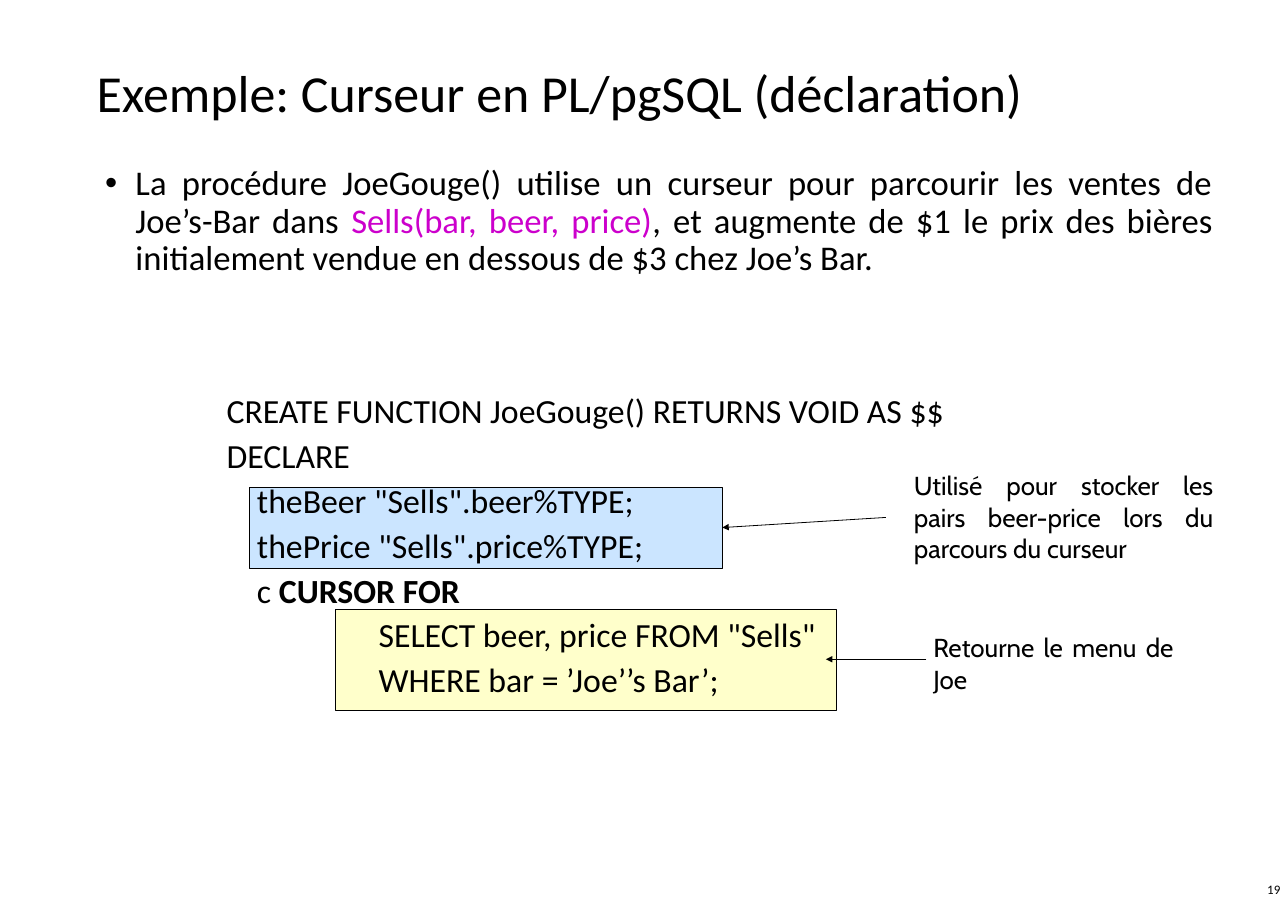
from dataclasses import dataclass

from lxml.etree import SubElement
from pptx import Presentation
from pptx.dml.color import RGBColor
from pptx.enum.shapes import MSO_CONNECTOR as CONN, MSO_SHAPE as SHAPE
from pptx.enum.text import MSO_ANCHOR as ANCHOR, MSO_AUTO_SIZE as AUTO, PP_ALIGN as ALIGN
from pptx.oxml.ns import qn
from pptx.util import Inches, Pt


@dataclass(frozen=True)
class Theme:
    black: str = "000000"
    magenta: str = "CC00CC"
    blue: str = "99CCFF"
    yellow: str = "FFFF99"
    font: str = "Calibri"
    note_font: str = "Cabin"
    title: float = 48
    body: float = 32
    code: float = 31.2
    note: float = 24
    number: float = 12
    line: float = 0.75
    leading: float = 0.9
    code_gap: float = 7.8


THEME = Theme()


@dataclass(frozen=True)
class Box:
    left: float
    top: float
    width: float
    height: float

    def inches(self):
        return [Inches(v) for v in (self.left, self.top, self.width, self.height)]


@dataclass(frozen=True)
class Run:
    text: str
    color: str = THEME.black
    bold: bool = False


@dataclass(frozen=True)
class CodeLine:
    indent: float
    runs: tuple[Run, ...]


@dataclass(frozen=True)
class Callout:
    area: Box
    fill: str
    note: str
    note_box: Box
    start: tuple[float, float]
    end: tuple[float, float]
    joined: bool


TITLE = "Exemple: Curseur en PL/pgSQL (déclaration)"
INTRO = (
    Run("La procédure JoeGouge() utilise un curseur pour parcourir les ventes de Joe’s-Bar dans "),
    Run("Sells(bar, beer, price)", THEME.magenta),
    Run(", et augmente de $1 le prix des bières initialement vendue en dessous de $3 chez Joe’s Bar."),
)
DECLARATION, QUERY = 0.39, 1.95
CODE = [
    CodeLine(0, (Run("CREATE FUNCTION JoeGouge() RETURNS VOID AS $$"),)),
    CodeLine(0, (Run("DECLARE"),)),
    CodeLine(DECLARATION, (Run('theBeer "Sells".beer%TYPE;'),)),
    CodeLine(DECLARATION, (Run('thePrice "Sells".price%TYPE;'),)),
    CodeLine(DECLARATION, (Run("c "), Run("CURSOR FOR", bold=True))),
    CodeLine(QUERY, (Run('SELECT beer, price FROM "Sells"'),)),
    CodeLine(QUERY, (Run("WHERE bar = ’Joe’’s Bar’;"),)),
]
CALLOUTS = [
    Callout(Box(3.2, 6.25, 6.07, 1.04), THEME.blue,
            "Utilisé pour stocker les pairs beer-price lors du parcours du curseur",
            Box(11.63, 5.98, 4.04, 1.31), (11.37, 6.64), (9.27, 6.77), True),
    Callout(Box(4.3, 7.82, 6.43, 1.3), THEME.yellow, "Retourne le menu de Joe",
            Box(11.88, 8.06, 3.28, 0.91), (11.89, 8.46), (10.6, 8.46), False),
]


def write(p, *runs: Run, size: float, font: str = THEME.font, align=ALIGN.JUSTIFY,
          leading: float = 1.0, before: float = 0, indent: float = 0, bullet: str = "") -> None:
    p.alignment, p.line_spacing, p.space_before = align, leading, Pt(before)
    pPr = p._p.get_or_add_pPr()
    pPr.set("marL", str(Inches(indent)))
    pPr.set("indent", str(-Inches(indent) if bullet else 0))
    if bullet:
        SubElement(pPr, qn("a:buFont")).set("typeface", "Arial")
        SubElement(pPr, qn("a:buChar")).set("char", bullet)
    for run in runs:
        r = p.add_run()
        r.text = run.text
        r.font.name, r.font.size, r.font.bold = font, Pt(size), run.bold
        r.font.color.rgb = RGBColor.from_string(run.color)


def add_text_box(s, box: Box, anchor=ANCHOR.TOP):
    tf = s.shapes.add_textbox(*box.inches()).text_frame
    tf.word_wrap, tf.vertical_anchor = True, anchor
    return tf


def add_area(s, box: Box, color: str):
    sp = s.shapes.add_shape(SHAPE.RECTANGLE, *box.inches())
    sp.shadow.inherit = False
    sp.fill.solid()
    sp.fill.fore_color.rgb = RGBColor.from_string(color)
    srgb = sp._element.spPr.find(f"{qn('a:solidFill')}/{qn('a:srgbClr')}")
    SubElement(srgb, qn("a:alpha")).set("val", "50000")
    sp.line.color.rgb = RGBColor.from_string(THEME.black)
    sp.line.width = Pt(THEME.line)
    return sp


def add_arrow(s, start: tuple[float, float], end: tuple[float, float]):
    arrow = s.shapes.add_connector(CONN.STRAIGHT, *[Inches(v) for v in start + end])
    arrow.line.color.rgb = RGBColor.from_string(THEME.black)
    arrow.line.width = Pt(THEME.line)
    SubElement(arrow.line._get_or_add_ln(), qn("a:tailEnd")).set("type", "triangle")
    SubElement(arrow._element.spPr, qn("a:effectLst"))
    return arrow


def add_callout(s, callout: Callout) -> None:
    area = add_area(s, callout.area, callout.fill)
    tf = add_text_box(s, callout.note_box)
    write(tf.paragraphs[0], Run(callout.note), size=THEME.note, font=THEME.note_font)
    arrow = add_arrow(s, callout.start, callout.end)
    if callout.joined:
        arrow.end_connect(area, 3)


def main() -> None:
    prs = Presentation()
    prs.slide_width, prs.slide_height = Inches(16.53), Inches(11.69)
    s = prs.slides.add_slide(prs.slide_layouts[5])

    # Title
    title = s.shapes.title
    title.left, title.top, title.width, title.height = Box(1.14, 0.62, 14.26, 1.22).inches()
    tf = title.text_frame
    tf.auto_size, tf.vertical_anchor = AUTO.NONE, ANCHOR.MIDDLE
    write(tf.paragraphs[0], Run(TITLE), size=THEME.title, align=ALIGN.LEFT, leading=THEME.leading)

    # Highlighted areas with their notes
    for callout in CALLOUTS:
        add_callout(s, callout)

    # Introduction
    tf = add_text_box(s, Box(1.25, 2.08, 14.42, 1.6))
    write(tf.paragraphs[0], *INTRO, size=THEME.body, leading=THEME.leading, indent=0.39, bullet="•")

    # Code
    tf = add_text_box(s, Box(2.81, 5.01, 12.86, 4.2))
    for i, line in enumerate(CODE):
        p = tf.add_paragraph() if i else tf.paragraphs[0]
        write(p, *line.runs, size=THEME.code, align=ALIGN.LEFT, leading=THEME.leading,
              before=THEME.code_gap if i else 0, indent=line.indent)

    # Slide number
    tf = add_text_box(s, Box(12.81, 11.1, 3.72, 0.62), ANCHOR.MIDDLE)
    write(tf.paragraphs[0], Run("19"), size=THEME.number, align=ALIGN.RIGHT)

    prs.save("out.pptx")


if __name__ == "__main__":
    main()
